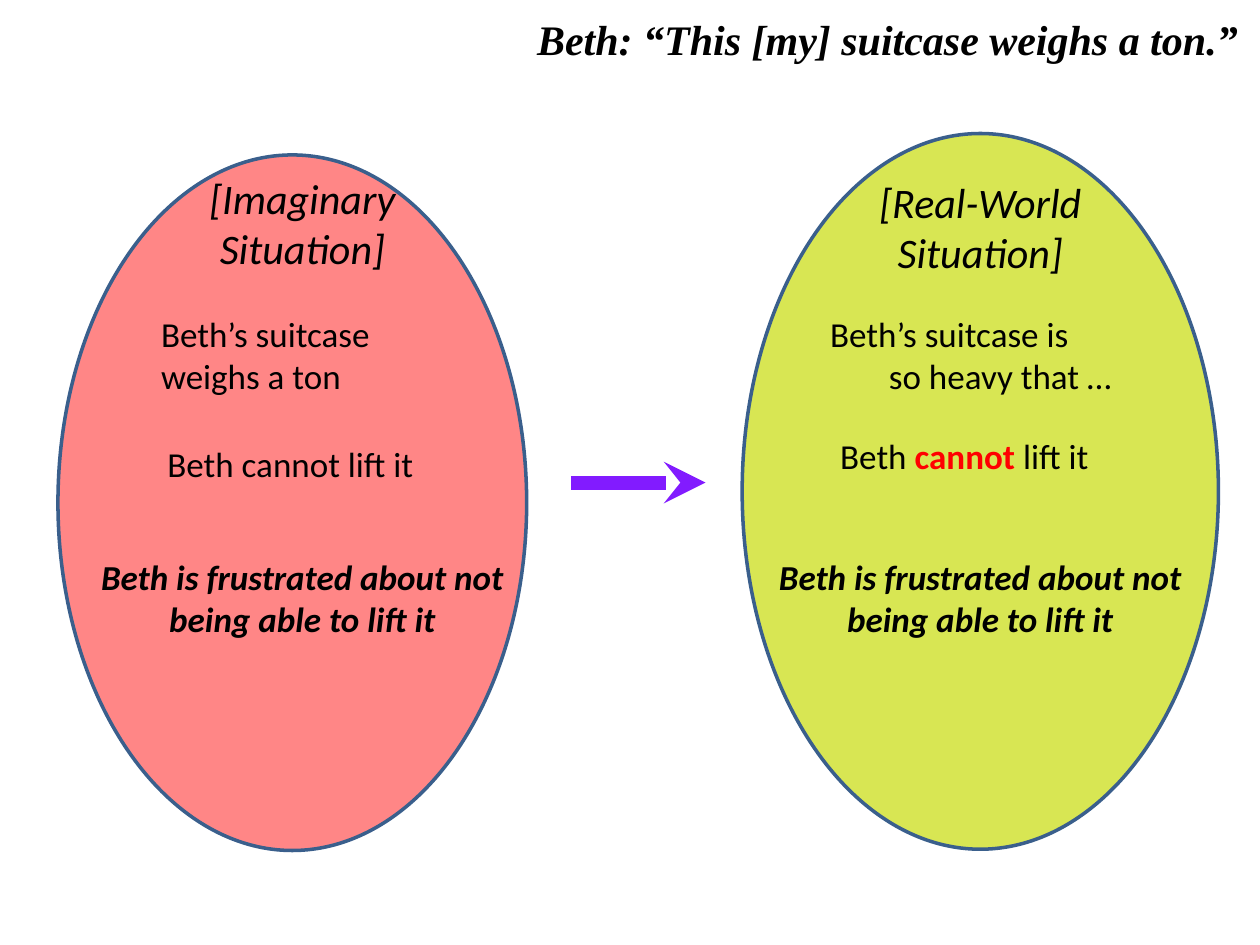
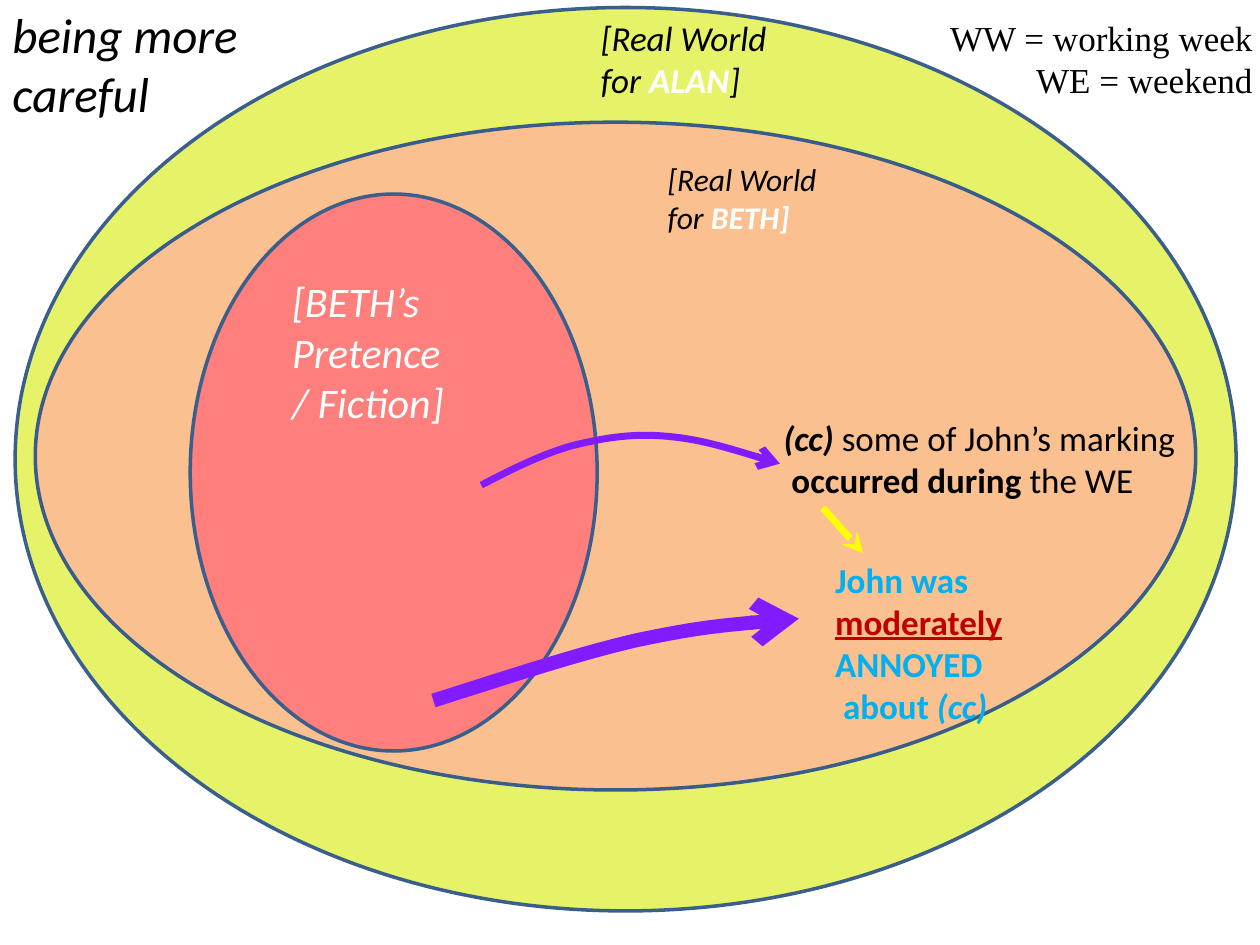
from dataclasses import dataclass
from lxml.etree import SubElement
from pptx import Presentation
from pptx.dml.color import RGBColor
from pptx.enum.shapes import MSO_CONNECTOR, MSO_SHAPE
from pptx.enum.text import MSO_AUTO_SIZE, PP_ALIGN
from pptx.oxml.ns import qn
from pptx.util import Inches, Pt


@dataclass(frozen=True)
class Theme:
    sans: str = "Calibri"
    serif: str = "Times New Roman"
    black: str = "000000"
    white: str = "FFFFFF"
    red: str = "FF0000"
    dark_red: str = "C00000"
    blue: str = "00B0F0"
    purple: str = "821BFF"
    yellow: str = "FFFF00"
    outline: str = "3A5F8C"
    inner_outline: str = "385D8A"
    outline_width: float = 2
    # fill colour and opacity in percent
    imaginary: tuple = ("FF7979", 90)
    real: tuple = ("CADD11", 72)
    alan: tuple = ("DDEF31", 73)
    beth: tuple = ("FAC090", 100)
    small: int = 18
    body: int = 20
    label: int = 24
    heading: int = 28


THEME = Theme()
WIDTH, HEIGHT = Inches(10), Inches(7.5)
GRID_COLUMNS = 100  # square cells, so the slide is 100 x 75
CELL = WIDTH / GRID_COLUMNS

LEFT, CENTER, RIGHT = PP_ALIGN.LEFT, PP_ALIGN.CENTER, PP_ALIGN.RIGHT
BOLD, ITALIC = {"bold": True}, {"italic": True}
BOLD_ITALIC = BOLD | ITALIC
WHITE_BOLD = BOLD | {"color": THEME.white}
WHITE_ITALIC = ITALIC | {"color": THEME.white}
BLUE_BOLD = BOLD | {"color": THEME.blue}

# Ellipses: (left, top, width, height), (fill, opacity), outline
# Captions: (left, top, width, height), size, font, [(alignment, [(text, format), ...]), ...]
# Straight arrows: start, end, colour, width
# Curved arrows: start, further control points in threes, colour, width
FRUSTRATION = [(CENTER, [("Beth is frustrated about not being able to lift it", BOLD_ITALIC)])]

SUITCASE = {
    "ellipses": [
        ((58.9, 10.6, 37.8, 56.8), THEME.real, THEME.outline),
        ((4.6, 12.3, 37.2, 55.2), THEME.imaginary, THEME.outline),
    ],
    "captions": [
        ((14.4, 13.2, 19.2, 9.1), THEME.label, THEME.sans, [
            (CENTER, [("[Imaginary", ITALIC)]), (CENTER, [("Situation]", ITALIC)])]),
        ((11.8, 24.3, 24.3, 7.7), THEME.body, THEME.sans, [
            (LEFT, [("Beth’s suitcase weighs a ton", {})])]),
        ((12.3, 34.6, 22.8, 4.4), THEME.body, THEME.sans, [
            (LEFT, [("Beth cannot lift it", {})])]),
        ((6.8, 43.6, 34.4, 7.7), THEME.body, THEME.sans, FRUSTRATION),
        ((67.2, 13.5, 21.2, 9.1), THEME.label, THEME.sans, [
            (CENTER, [("[Real-World Situation]", ITALIC)])]),
        ((64.9, 24.3, 24.3, 7.7), THEME.body, THEME.sans, [
            (LEFT, [("Beth’s suitcase is", {})]), (RIGHT, [("so heavy that …", {})])]),
        ((65.7, 34, 22.8, 4.4), THEME.body, THEME.sans, [
            (LEFT, [("Beth ", {}), ("cannot", BOLD | {"color": THEME.red}), (" lift it", {})])]),
        ((60.6, 43.6, 34.4, 7.7), THEME.body, THEME.sans, FRUSTRATION),
    ],
    "quote": ((37.4, 1, 62.4, 4.6), THEME.label, THEME.serif, [
        (CENTER, [("Beth: “This [my] suitcase weighs a ton.”", BOLD_ITALIC)])]),
    "straight arrows": [((45.3, 38.3), (56, 38.3), THEME.purple, 8)],
}

WORLDS = {
    "ellipses": [
        ((1.2, 0.6, 96.9, 71.7), THEME.alan, THEME.outline),
        ((2.8, 9.7, 92.1, 53), THEME.beth, THEME.inner_outline),
        ((15.1, 15.4, 32.3, 44.2), THEME.imaginary, THEME.outline),
    ],
    "captions": [
        ((73.6, 0.8, 26.8, 11.1), THEME.body, THEME.serif, [
            (RIGHT, [("WW = working week WE = weekend", {})])]),
        ((46.7, 0.8, 15.2, 7.7), THEME.body, THEME.sans, [
            (LEFT, [("[Real World for ", ITALIC), ("ALAN", WHITE_BOLD | ITALIC), ("]", ITALIC)])]),
        ((0, -0.1, 20.1, 10.4), THEME.heading, THEME.sans, [
            (LEFT, [("being more careful", ITALIC)])]),
        ((52, 12.2, 17.8, 7.1), THEME.small, THEME.sans, [
            (LEFT, [("[Real World", ITALIC)]),
            (LEFT, [("for ", ITALIC), ("BETH]", WHITE_BOLD | ITALIC)])]),
        ((22.2, 21.4, 18.1, 13.1), THEME.label, THEME.sans, [
            (LEFT, [("[BETH’s Pretence", WHITE_ITALIC)]), (LEFT, [("/ Fiction]", WHITE_ITALIC)])]),
        ((61.2, 32.6, 33.5, 7.7), THEME.body, THEME.sans, [
            (LEFT, [("(cc) ", BOLD_ITALIC), ("some of John’s marking", {})]),
            (LEFT, [(" ", {}), ("occurred during ", BOLD), ("the WE", {})])]),
        ((65.3, 43.8, 21.7, 14.5), THEME.body, THEME.sans, [
            (LEFT, [("John was ", BLUE_BOLD),
                    ("moderately", BOLD | {"color": THEME.dark_red, "underline": True}),
                    (" ANNOYED", BLUE_BOLD)]),
            (LEFT, [(" about ", BLUE_BOLD), ("(cc)", BLUE_BOLD | ITALIC)])]),
    ],
    "straight arrows": [((65.3, 40.3), (68.5, 43.9), THEME.yellow, 4)],
    "curved arrows": [
        ((38.2, 38.5), [(40.5, 37.3), (42.9, 36.1), (45.3, 35.4),
                        (47.7, 34.8), (49.9, 34.4), (52.6, 34.6),
                        (55.4, 34.8), (58.6, 35.8), (61.9, 36.8)], THEME.purple, 4),
        ((34.4, 55.6), [(40.1, 53.8), (45.8, 51.9), (50.6, 50.8),
                        (55.4, 49.8), (59.4, 49.4), (63.4, 49.1)], THEME.purple, 8),
    ],
}


def on_grid(*cells):
    return [round(cell * CELL) for cell in cells]


def style_line(line, color, width, head=None):
    line.color.rgb = RGBColor.from_string(color)
    line.width = Pt(width)
    if head:
        SubElement(line._get_or_add_ln(), qn("a:tailEnd"), type=head)


def add_ellipse(slide, box, fill, outline):
    ellipse = slide.shapes.add_shape(MSO_SHAPE.OVAL, *on_grid(*box))
    ellipse.shadow.inherit = False
    color, opacity = fill
    ellipse.fill.solid()
    ellipse.fill.fore_color.rgb = RGBColor.from_string(color)
    if opacity < 100:
        tint = ellipse.fill._xPr.find(qn("a:solidFill"))[0]
        SubElement(tint, qn("a:alpha"), val=str(opacity * 1000))
    style_line(ellipse.line, outline, THEME.outline_width)


def add_caption(slide, box, size, font, paragraphs):
    frame = slide.shapes.add_textbox(*on_grid(*box)).text_frame
    frame.word_wrap = True
    frame.auto_size = MSO_AUTO_SIZE.SHAPE_TO_FIT_TEXT
    for index, (alignment, runs) in enumerate(paragraphs):
        paragraph = frame.add_paragraph() if index else frame.paragraphs[0]
        paragraph.alignment = alignment
        for text, formats in runs:
            run = paragraph.add_run()
            run.text = text
            values = {"name": font, "size": Pt(size), "color": THEME.black} | formats
            run.font.color.rgb = RGBColor.from_string(values.pop("color"))
            for attribute, value in values.items():
                setattr(run.font, attribute, value)
    return frame


def add_quote(slide, *caption):
    """Add a caption with a left indent and tight lines."""
    paragraph = add_caption(slide, *caption).paragraphs[0]
    paragraph.line_spacing = 0.9
    paragraph._p.get_or_add_pPr().set("marL", str(Inches(0.37)))


def add_straight_arrow(slide, start, end, color, width):
    arrow = slide.shapes.add_connector(MSO_CONNECTOR.STRAIGHT, *on_grid(*start, *end))
    style_line(arrow.line, color, width, "stealth")
    SubElement(arrow._element.spPr, qn("a:effectLst"))


def add_curved_arrow(slide, start, controls, color, width):
    """Draw straight segments through the control points, then merge each three into a Bézier curve."""
    builder = slide.shapes.build_freeform(*on_grid(*start))
    builder.add_line_segments([on_grid(*point) for point in controls], close=False)
    arrow = builder.convert_to_shape()
    arrow.shadow.inherit = False
    arrow.fill.background()
    style_line(arrow.line, color, width, "arrow")
    outline = next(arrow._element.iter(qn("a:path")))
    segments = outline.findall(qn("a:lnTo"))
    for first in range(0, len(segments), 3):
        curve = SubElement(outline, qn("a:cubicBezTo"))
        for segment in segments[first:first + 3]:
            curve.append(segment[0])
            outline.remove(segment)


def add_diagram(deck, content):
    slide = deck.slides.add_slide(deck.slide_layouts[6])
    for part, draw in (("ellipses", add_ellipse), ("captions", add_caption),
                       ("straight arrows", add_straight_arrow),
                       ("curved arrows", add_curved_arrow)):
        for item in content.get(part, []):
            draw(slide, *item)
    if "quote" in content:
        add_quote(slide, *content["quote"])


def main():
    deck = Presentation()
    deck.slide_width, deck.slide_height = WIDTH, HEIGHT
    for content in (SUITCASE, WORLDS):
        add_diagram(deck, content)
    deck.save("out.pptx")


if __name__ == "__main__":
    main()
